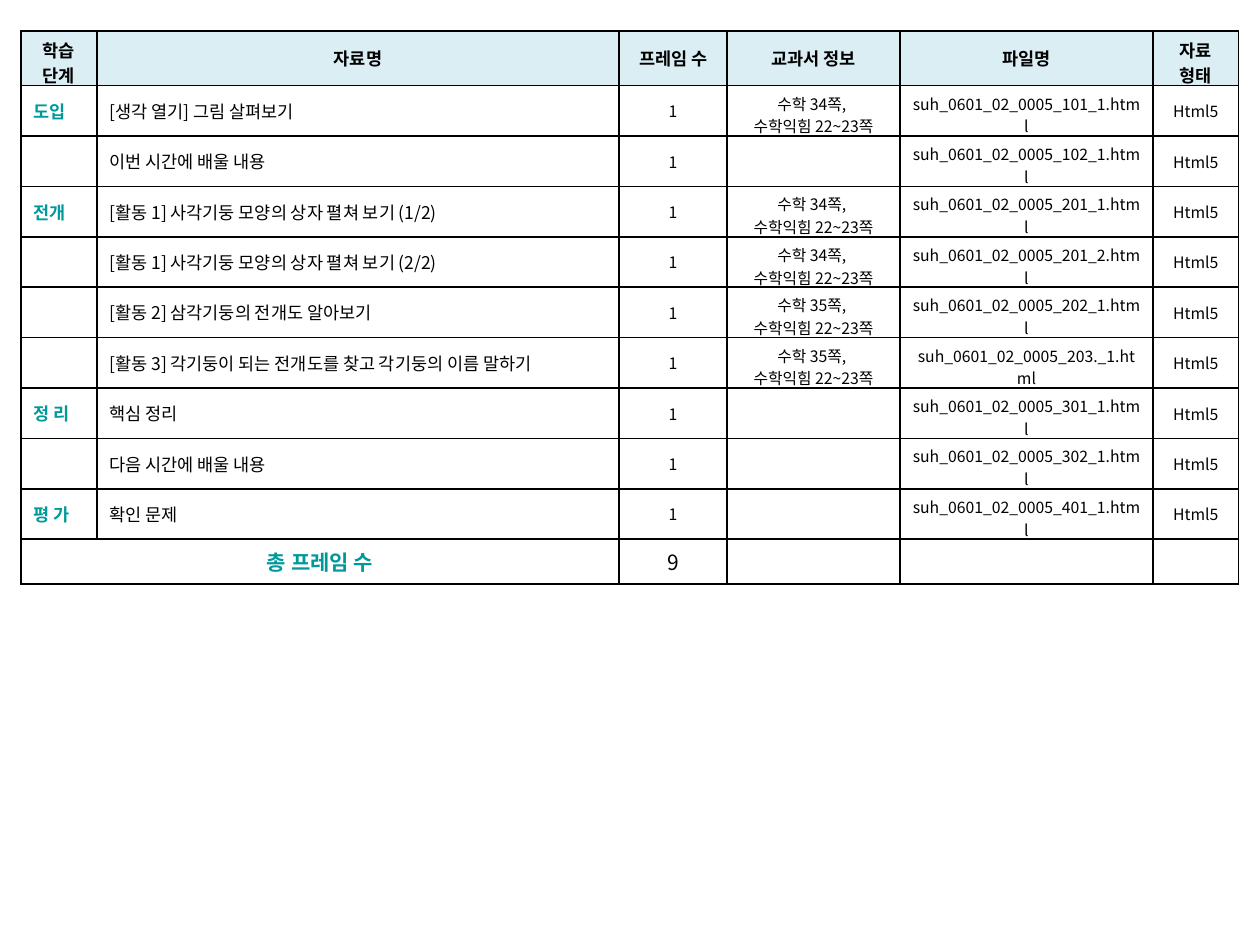
from lxml import etree
from pptx import Presentation
from pptx.dml import color
from pptx.enum import text
from pptx.oxml import ns
from pptx.util import Pt

FONT = "Noto Sans CJK KR"
BLACK, TEAL, PALE_BLUE = "000000", "009999", "DBEEF4"
LEFT, CENTER, JUSTIFY = text.PP_ALIGN.LEFT, text.PP_ALIGN.CENTER, text.PP_ALIGN.JUSTIFY

COLUMN_WIDTHS = [43.4, 298.4, 61.7, 98.8, 144.6, 48.9]
ROW_HEIGHTS = [31.1] + [28.8] * 9 + [25.7]
HEADERS = ["학습 단계", "자료명", "프레임 수", "교과서 정보", "파일명", "자료\n형태"]
LESSONS = [
    ("도입", "[생각 열기] 그림 살펴보기", "34", "101_1"),
    ("", "이번 시간에 배울 내용", "", "102_1"),
    ("전개", "[활동 1] 사각기둥 모양의 상자 펼쳐 보기 (1/2)", "34", "201_1"),
    ("", "[활동 1] 사각기둥 모양의 상자 펼쳐 보기 (2/2)", "34", "201_2"),
    ("", "[활동 2] 삼각기둥의 전개도 알아보기", "35", "202_1"),
    ("", "[활동 3] 각기둥이 되는 전개도를 찾고 각기둥의 이름 말하기", "35", "203._1"),
    ("정 리", "핵심 정리", "", "301_1"),
    ("", "다음 시간에 배울 내용", "", "302_1"),
    ("평 가", "확인 문제", "", "401_1"),
]

HEADER_STYLE = {"size": 10, "bold": True}
TALL_HEADER_STYLE = {**HEADER_STYLE, "two_lines": True}
STAGE_STYLE = {"size": 10, "bold": True, "ink": TEAL, "align": JUSTIFY}
TITLE_STYLE = {"size": 10, "align": LEFT}
DETAIL_STYLE = {"size": 9}
TALL_DETAIL_STYLE = {**DETAIL_STYLE, "two_lines": True}
TOTAL_LABEL_STYLE = {"size": 12, "bold": True, "ink": TEAL}
TOTAL_STYLE = {"size": 12}
HEADER_STYLES = [TALL_HEADER_STYLE] + [HEADER_STYLE] * 4 + [TALL_HEADER_STYLE]
LESSON_STYLES = [STAGE_STYLE, TITLE_STYLE, DETAIL_STYLE,
                 TALL_DETAIL_STYLE, TALL_DETAIL_STYLE, DETAIL_STYLE]


def rgb(value):
    """Turn a hex string into a colour."""
    return color.RGBColor.from_string(value)


def add_borders(cell, ink=BLACK, width=1):
    """Draw a solid line on all four sides of a cell."""
    properties = cell._tc.get_or_add_tcPr()
    for position, side in enumerate(("lnL", "lnR", "lnT", "lnB")):
        line = etree.Element(ns.qn(f"a:{side}"), w=str(Pt(width)))
        fill = etree.SubElement(line, ns.qn("a:solidFill"))
        etree.SubElement(fill, ns.qn("a:srgbClr"), val=ink)
        properties.insert(position, line)


def write_cell(cell, content, size, bold=False, ink=BLACK, align=CENTER, two_lines=False):
    """Write the lines of a cell in one style, letting two lines fill the row."""
    cell.vertical_anchor = text.MSO_ANCHOR.MIDDLE
    if two_lines:
        cell.vertical_anchor = text.MSO_ANCHOR.TOP
        cell.margin_bottom = Pt(-1.5)
    cell.text = content
    for paragraph in cell.text_frame.paragraphs:
        paragraph.alignment = align
        if not paragraph.runs:
            etree.SubElement(paragraph._p, ns.qn("a:endParaRPr"), sz=str(size * 100))
        for run in paragraph.runs:
            for name, value in {"size": Pt(size), "bold": bold, "name": FONT}.items():
                setattr(run.font, name, value)
            run.font.color.rgb = rgb(ink)


def lesson_row(stage, title, page, file_code):
    """Give the six cell texts of one lesson."""
    textbook = f"수학 {page}쪽, \n수학익힘 22~23쪽" if page else ""
    return [stage, title, "1", textbook, f"suh_0601_02_0005_{file_code}.html", "Html5"]


def add_lesson_table(slide, left, top):
    """Place the table of lesson materials with its top left corner at a point."""
    frame = slide.shapes.add_table(
        len(ROW_HEIGHTS), len(COLUMN_WIDTHS), Pt(left), Pt(top),
        Pt(sum(COLUMN_WIDTHS)), Pt(sum(ROW_HEIGHTS)))
    table = frame.table
    table.first_row = table.horz_banding = False
    for column, width in zip(table.columns, COLUMN_WIDTHS):
        column.width = Pt(width)

    total = ["총 프레임 수", "", str(len(LESSONS)), "", "", ""]
    contents = [HEADERS] + [lesson_row(*lesson) for lesson in LESSONS] + [total]
    styles = ([HEADER_STYLES] + [LESSON_STYLES] * len(LESSONS)
              + [[TOTAL_LABEL_STYLE] + [TOTAL_STYLE] * 5])
    for index, (row, height) in enumerate(zip(table.rows, ROW_HEIGHTS)):
        row.height = Pt(height)
        for cell, content, style in zip(row.cells, contents[index], styles[index]):
            write_cell(cell, content, **style)
            if index == 0:
                cell.fill.solid()
                cell.fill.fore_color.rgb = rgb(PALE_BLUE)
            else:
                cell.fill.background()
            add_borders(cell)
    last = len(ROW_HEIGHTS) - 1
    table.cell(last, 0).merge(table.cell(last, 1))


def main():
    """Build the slide and save it."""
    presentation = Presentation()
    presentation.slide_width, presentation.slide_height = Pt(720), Pt(540)
    slide = presentation.slides.add_slide(presentation.slide_layouts[6])
    add_lesson_table(slide, left=12, top=17.8)
    presentation.save("out.pptx")


if __name__ == "__main__":
    main()
